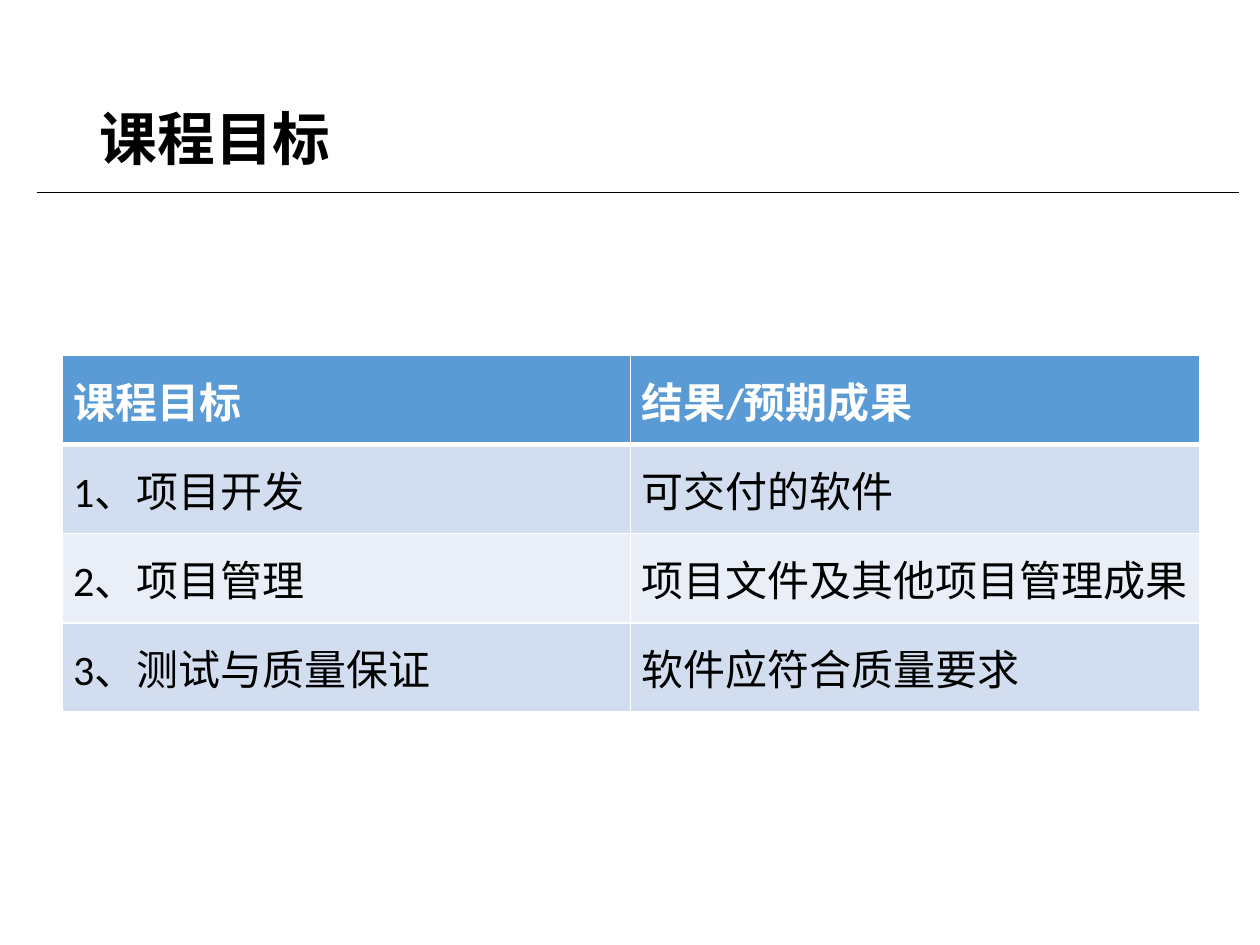
from dataclasses import dataclass
from lxml import etree
from pptx import Presentation
from pptx.dml.color import RGBColor
from pptx.enum import shapes, text
from pptx.oxml import ns
from pptx.util import Inches, Pt


@dataclass
class Theme:
    font: str = "Calibri"
    ink: str = "000000"
    white: str = "FFFFFF"
    head: str = "5B9BD5"
    odd: str = "D2DEEF"
    even: str = "EAEFF7"
    title: int = 33
    cell: int = 24


theme = Theme()


def style(para, size, color, bold):
    for run in para.runs:
        run.font.name = theme.font
        run.font.size = Pt(size)
        run.font.bold = bold
        run.font.color.rgb = RGBColor.from_string(color)


def border(cell, side, width):
    props = cell._tc.get_or_add_tcPr()
    line = etree.SubElement(props, ns.qn("a:" + side), w=str(Pt(width)))
    fill = etree.SubElement(line, ns.qn("a:solidFill"))
    etree.SubElement(fill, ns.qn("a:srgbClr"), val=theme.white)


deck = Presentation()
deck.slide_width, deck.slide_height = Inches(10), Inches(7.5)
slide = deck.slides.add_slide(deck.slide_layouts[5])

rule = slide.shapes.add_connector(
    shapes.MSO_CONNECTOR.STRAIGHT,
    Inches(0.29), Inches(1.53), Inches(9.83), Inches(1.53))
rule.line.color.rgb = RGBColor.from_string(theme.ink)
rule.line.width = Pt(0.5)
etree.SubElement(rule._element.spPr, ns.qn("a:effectLst"))

title = slide.shapes.title
title.left, title.top = Inches(0.69), Inches(0.4)
title.width, title.height = Inches(8.62), Inches(1.45)
frame = title.text_frame
frame.text = "课程目标"
frame.vertical_anchor = text.MSO_ANCHOR.MIDDLE
para = frame.paragraphs[0]
para.alignment = text.PP_ALIGN.LEFT
para.line_spacing = 0.9
style(para, theme.title, theme.ink, True)

goals = [
    ("课程目标", "结果/预期成果"),
    ("1、项目开发", "可交付的软件"),
    ("2、项目管理", "项目文件及其他项目管理成果"),
    ("3、测试与质量保证", "软件应符合质量要求"),
]
table = slide.shapes.add_table(
    len(goals), 2, Inches(0.49), Inches(2.82), Inches(9.03), Inches(2.83)).table

for r, goal in enumerate(goals):
    top = r == 0
    shade = theme.head if top else (theme.odd if r % 2 else theme.even)
    for c, words in enumerate(goal):
        cell = table.cell(r, c)
        cell.text = words
        cell.vertical_anchor = text.MSO_ANCHOR.MIDDLE
        cell.margin_left = cell.margin_right = Inches(0.09)
        cell.margin_top = cell.margin_bottom = Inches(0.04)
        for side in ("lnL", "lnR"):
            border(cell, side, 1)
        border(cell, "lnT", 3 if r == 1 else 1)
        border(cell, "lnB", 3 if top else 1)
        cell.fill.solid()
        cell.fill.fore_color.rgb = RGBColor.from_string(shade)
        style(cell.text_frame.paragraphs[0], theme.cell,
              theme.white if top else theme.ink, top)

deck.save("out.pptx")
